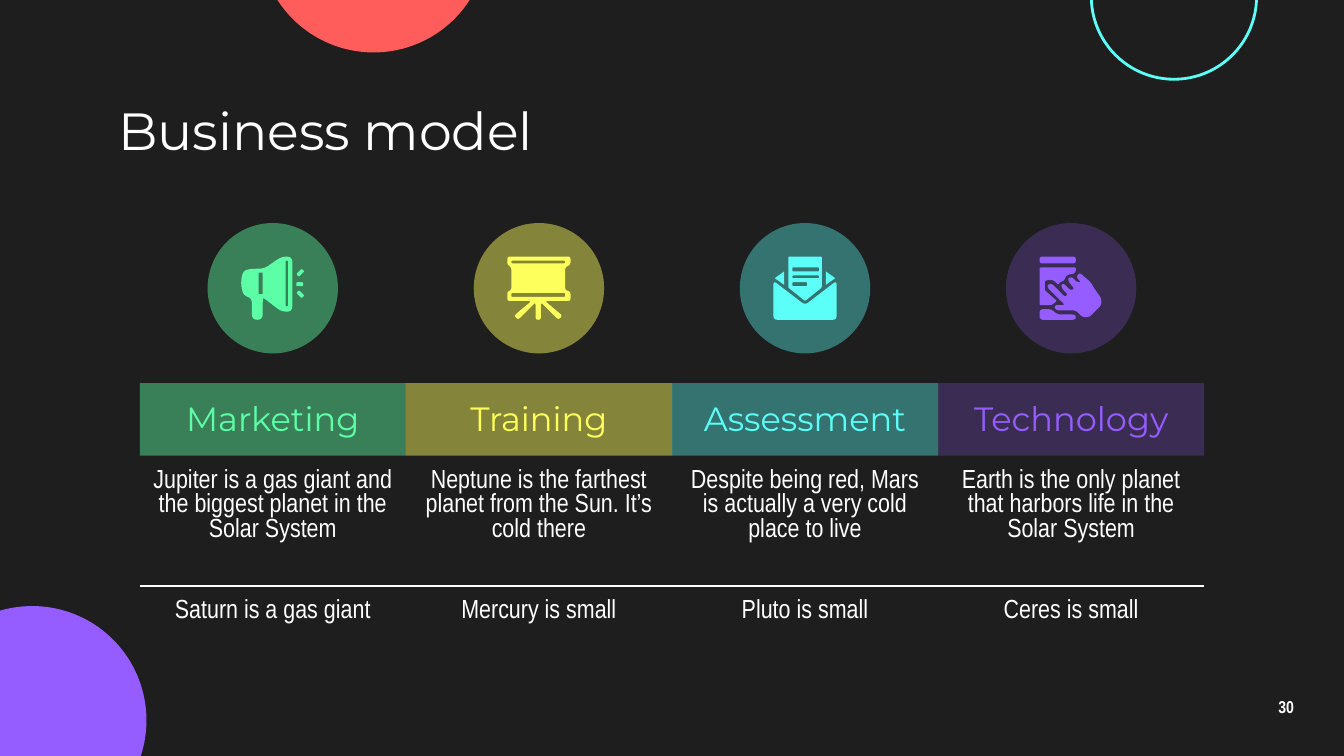
"""Build the "Business model" slide: four themes, each with an icon and two facts."""
from dataclasses import dataclass
from math import hypot

from lxml import etree
from pptx import Presentation
from pptx import util as u
from pptx.dml.color import RGBColor
from pptx.enum import shapes, text
from pptx.oxml.ns import qn

DARK = RGBColor(0x1E, 0x1E, 0x1E)
WHITE = RGBColor(0xFF, 0xFF, 0xFF)
RED = RGBColor(0xFF, 0x5C, 0x5C)
GREEN = RGBColor(0x5C, 0xFF, 0xA6)
YELLOW = RGBColor(0xFD, 0xFF, 0x5C)
CYAN = RGBColor(0x5C, 0xFF, 0xF8)
PURPLE = RGBColor(0x95, 0x5C, 0xFF)
HEADING, BODY = "Montserrat", "Arial Narrow"
NO_GRID_STYLE = "{2D5ABB26-0587-4C30-8999-92F81FD0307C}"

SLIDE_WIDTH = u.Inches(10)
SLIDE_HEIGHT = SLIDE_WIDTH * 9 // 16
TABLE_LEFT, TABLE_TOP, COLUMN = 10.4, 28.5, 19.8
ROWS = (5.4, 9.7, 4.3)
DISC, DISC_TOP, ICON_INSET = 9.7, 16.6, 2.5

Point = tuple[float, float]


@dataclass(frozen=True)
class Box:
    """A rectangle in hundredths of the slide's width."""
    left: float
    top: float
    width: float
    height: float

    def place(self) -> tuple[int, int, int, int]:
        """Return the rectangle as lengths on the slide."""
        return share(self.left), share(self.top), share(self.width), share(self.height)


@dataclass(frozen=True)
class Contour:
    """A closed outline with rounded corners, in thousandths of the slide's width."""
    radius: float
    points: tuple[Point, ...]


@dataclass(frozen=True)
class Theme:
    """One column: its heading, facts, colour, tint opacity and icon outlines."""
    name: str
    fact: str
    note: str
    color: RGBColor
    opacity: int
    icon: tuple[tuple[Contour, ...], ...]


def share(hundredths: float) -> int:
    """Turn hundredths of the slide's width into a length."""
    return round(SLIDE_WIDTH * hundredths / 100)


def bar(left: float, top: float, right: float, bottom: float, radius: float = 1) -> Contour:
    """Return a rounded rectangular contour."""
    return Contour(radius, ((left, top), (right, top), (right, bottom), (left, bottom)))


MEGAPHONE = (
    (Contour(4, ((0, 16), (2, 10), (9, 9), (17, 9), (30, 0), (38, 0), (38, 41), (30, 41),
                 (17, 31), (16, 31), (16, 47), (8, 47), (8, 31), (2, 29), (0, 23))),
     bar(13, 12, 16, 28, 0), bar(33, 3, 35, 37)),
    (bar(41, 19, 46, 22),),
    (Contour(1, ((41, 13), (45, 9), (47, 11), (43, 15))),),
    (Contour(1, ((41, 27), (43, 25), (47, 29), (45, 31))),),
)
SCREEN = (
    (Contour(2, ((0, 0), (47, 0), (47, 6), (43, 8), (43, 25), (47, 26), (47, 33), (28, 33),
                 (41, 44), (38, 47), (25, 34), (25, 47), (21, 47), (21, 34), (8, 47), (5, 44),
                 (18, 33), (0, 33), (0, 26), (3, 25), (3, 8), (0, 6))),
     bar(3, 3, 43, 5), bar(3, 27, 43, 30)),
)
LETTER = (
    (Contour(3, ((0, 18), (23.5, 36), (47, 18), (47, 47), (0, 47))),),
    (Contour(0, ((39, 11), (39, 21), (46, 16))),),
    (Contour(0, ((8, 11), (1, 16), (8, 21))),),
    (Contour(1, ((11, 0), (36, 0), (36, 23), (23.5, 33), (11, 23))),
     bar(14, 8, 34, 11), bar(14, 14, 34, 16), bar(14, 19, 25, 22)),
)
TOUCH = (
    (Contour(2, ((0, 5), (0, 0), (27, 0), (27, 5))),),
    (Contour(1, ((0, 8), (0, 36), (9, 36), (13, 33), (4, 25), (4, 18), (8, 17), (11, 18),
                 (14, 21), (15, 19), (18, 18), (20, 14), (23, 13), (25, 13), (27, 11), (27, 8))),),
    (Contour(3, ((0, 39), (0, 47), (27, 47), (27, 43), (13, 43), (9, 39))),),
    (Contour(2, ((30, 12), (28, 14), (28, 16), (31, 19), (28, 19), (24, 15), (21, 16), (22, 19),
                 (26, 24), (23, 25), (18, 20), (16, 21), (17, 24), (21, 28), (19, 30), (9, 20),
                 (6, 21), (6, 23), (19, 36), (12, 36), (11, 38), (13, 40), (27, 40), (32, 45),
                 (37, 45), (46, 36), (46, 31), (41, 24), (38, 19))),),
)
THEMES = (
    Theme("Marketing", "Jupiter is a gas giant and the biggest planet in the Solar System",
          "Saturn is a gas giant", GREEN, 44, MEGAPHONE),
    Theme("Training", "Neptune is the farthest planet from the Sun. It’s cold there",
          "Mercury is small", YELLOW, 46, SCREEN),
    Theme("Assessment", "Despite being red, Mars is actually a very cold place to live",
          "Pluto is small", CYAN, 38, LETTER),
    Theme("Technology", "Earth is the only planet that harbors life in the Solar System",
          "Ceres is small", PURPLE, 24, TOUCH),
)


def write(holder, words: str, *, size: float, font: str = BODY, color: RGBColor = WHITE,
          bold: bool = False, align=text.PP_ALIGN.CENTER, anchor=text.MSO_ANCHOR.MIDDLE) -> None:
    """Put one formatted paragraph in a text frame or a table cell."""
    for side in ("left", "top", "right", "bottom"):
        setattr(holder, f"margin_{side}", share(1))
    holder.vertical_anchor = anchor
    frame = getattr(holder, "text_frame", holder)
    frame.word_wrap = True
    para = frame.paragraphs[0]
    para.alignment = align
    span = para.add_run()
    span.text = words
    span.font.size, span.font.name, span.font.bold = u.Pt(size), font, bold
    span.font.color.rgb = color


def paint(fill, color: RGBColor, holder, opacity: int = 100) -> None:
    """Give a fill its colour and, below 100, its opacity."""
    fill.solid()
    fill.fore_color.rgb = color
    if opacity < 100:
        tone = next(holder.iter(qn("a:srgbClr")))
        etree.SubElement(tone, qn("a:alpha"), val=str(opacity * 1000))


def draw_disc(page, box: Box, color: RGBColor, opacity: int = 100, outline: bool = False) -> None:
    """Draw a filled or outlined circle."""
    disc = page.shapes.add_shape(shapes.MSO_SHAPE.OVAL, *box.place())
    disc.shadow.inherit = False
    if outline:
        disc.fill.background()
        disc.line.color.rgb, disc.line.width = color, u.Pt(1.5)
    else:
        paint(disc.fill, color, disc._element.spPr, opacity)
        disc.line.fill.background()


def soften(contour: Contour) -> list[Point]:
    """Replace each corner of a contour by a short curve of points."""
    points, curve = contour.points, []
    for index, (x, y) in enumerate(points):
        ends = []
        for near_x, near_y in (points[index - 1], points[(index + 1) % len(points)]):
            part = min(0.5, contour.radius / hypot(near_x - x, near_y - y))
            ends.append((x + (near_x - x) * part, y + (near_y - y) * part))
        (ax, ay), (bx, by) = ends
        for t in (0, 0.25, 0.5, 0.75, 1):
            p, q, r = (1 - t) ** 2, 2 * t * (1 - t), t * t
            curve.append((p * ax + q * x + r * bx, p * ay + q * y + r * by))
    return curve


def draw_icon(page, theme: Theme, left: float, top: float) -> None:
    """Draw the outlines of a theme's icon in its colour."""
    for outline in theme.icon:
        rings = [[(share(left + x / 10), share(top + y / 10)) for x, y in soften(contour)]
                 for contour in outline]
        builder = page.shapes.build_freeform(*rings[0][0])
        for number, ring in enumerate(rings):
            if number:
                builder.move_to(*ring[0])
            builder.add_line_segments(ring[1:], close=True)
        part = builder.convert_to_shape()
        part.shadow.inherit = False
        paint(part.fill, theme.color, part._element.spPr)
        part.line.fill.background()


def add_border(cell, side: str) -> None:
    """Draw a white line on one side of a cell."""
    line = etree.Element(qn(f"a:{side}"), w=str(u.Pt(1.5)))
    fill = etree.SubElement(line, qn("a:solidFill"))
    etree.SubElement(fill, qn("a:srgbClr"), val=str(WHITE))
    cell._tc.get_or_add_tcPr().insert(0, line)


def draw_table(page) -> None:
    """Draw the table with one column for each theme."""
    box = Box(TABLE_LEFT, TABLE_TOP, COLUMN * len(THEMES), sum(ROWS))
    table = page.shapes.add_table(len(ROWS), len(THEMES), *box.place()).table
    table.first_row = table.horz_banding = False
    table._tbl.tblPr.find(qn("a:tableStyleId")).text = NO_GRID_STYLE
    for row, height in zip(table.rows, ROWS):
        row.height = share(height)
    for index, theme in enumerate(THEMES):
        table.columns[index].width = share(COLUMN)
        head, fact, note = (table.cell(row, index) for row in range(len(ROWS)))
        write(head, theme.name, size=18, font=HEADING, color=theme.color)
        paint(head.fill, theme.color, head._tc.get_or_add_tcPr(), theme.opacity)
        for cell, words, side in ((fact, theme.fact, "lnB"), (note, theme.note, "lnT")):
            write(cell, words, size=14, anchor=text.MSO_ANCHOR.TOP)
            cell.fill.background()
            add_border(cell, side)


def main() -> None:
    """Build and save the deck."""
    deck = Presentation()
    deck.slide_width, deck.slide_height = SLIDE_WIDTH, SLIDE_HEIGHT
    page = deck.slides.add_slide(deck.slide_layouts[5])
    paint(page.background.fill, DARK, page._element)
    draw_disc(page, Box(-6.1, 45.1, 17, 17), PURPLE)
    draw_disc(page, Box(81.2, -6.4, 12.3, 12.3), CYAN, outline=True)
    draw_disc(page, Box(19.3, -13.1, 17, 17), RED)

    number = page.shapes.add_textbox(*Box(92.7, 51, 6, 3.4).place())
    write(number.text_frame, "30", size=9.2, bold=True)
    number.text_frame.paragraphs[0].line_spacing = 0.9
    title = page.shapes.title
    title.left, title.top, title.width, title.height = Box(7.8, 7.1, 84.4, 5.1).place()
    title.text_frame.auto_size = text.MSO_AUTO_SIZE.NONE
    write(title.text_frame, "Business model", size=28, font=HEADING, align=text.PP_ALIGN.LEFT)

    draw_table(page)
    for index, theme in enumerate(THEMES):
        left = TABLE_LEFT + COLUMN * index + (COLUMN - DISC) / 2
        draw_disc(page, Box(left, DISC_TOP, DISC, DISC), theme.color, theme.opacity)
        draw_icon(page, theme, left + ICON_INSET, DISC_TOP + ICON_INSET)
    deck.save("out.pptx")


if __name__ == "__main__":
    main()
